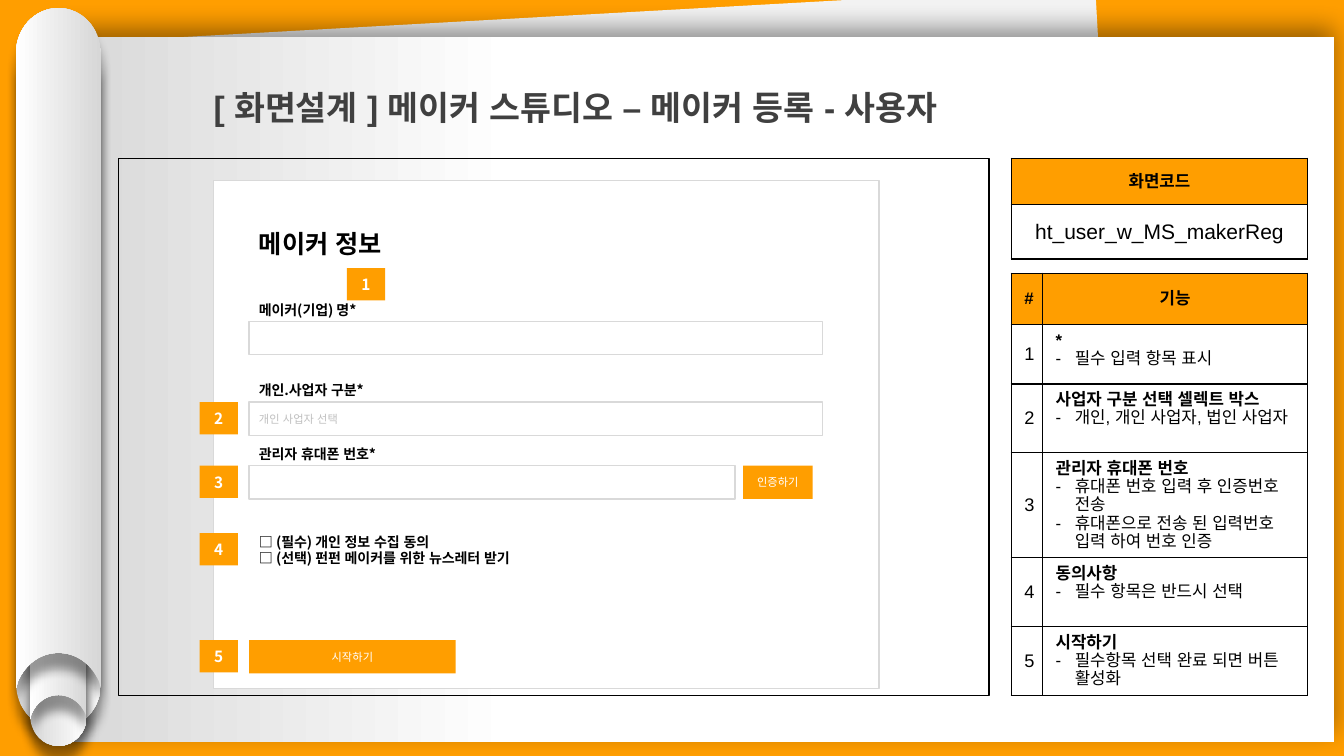
import pptx
import pptx.dml.color
import pptx.enum.shapes
import pptx.enum.text
import pptx.oxml.ns
import pptx.util
from lxml import etree

RGB = pptx.dml.color.RGBColor
ORANGE = RGB(0xFF, 0x9E, 0x00)
WHITE = RGB(0xFF, 0xFF, 0xFF)
BLACK = RGB(0, 0, 0)
TITLE_GREY = RGB(0x40, 0x40, 0x40)
SHEET_GREY = RGB(0xF2, 0xF2, 0xF2)
SHADE_GREY = RGB(0xD7, 0xD7, 0xD7)
BORDER_GREY = RGB(0xD9, 0xD9, 0xD9)
HINT_GREY = RGB(0xBF, 0xBF, 0xBF)
ARIAL = "Arial"
KOREAN = "Noto Sans CJK KR"
LEFT = pptx.enum.text.PP_ALIGN.LEFT
CENTER = pptx.enum.text.PP_ALIGN.CENTER
MIDDLE = pptx.enum.text.MSO_ANCHOR.MIDDLE
TOP = pptx.enum.text.MSO_ANCHOR.TOP
RECTANGLE = pptx.enum.shapes.MSO_SHAPE.RECTANGLE
PX = 9144  # 100 px to the inch
qn = pptx.oxml.ns.qn

deck = pptx.Presentation()
deck.slide_width, deck.slide_height = 1333 * PX, 750 * PX
slide = deck.slides.add_slide(deck.slide_layouts[6])
slide.background.fill.solid()
slide.background.fill.fore_color.rgb = ORANGE


def write(paragraph, text, size, color=BLACK, bold=False, font=KOREAN, align=LEFT):
    """Put one formatted run into the paragraph."""
    paragraph.alignment = align
    run = paragraph.add_run()
    run.text = text
    run.font.size = pptx.util.Pt(size)
    run.font.bold = bold
    run.font.name = font
    run.font.color.rgb = color
    etree.SubElement(run.font._element, qn("a:ea"), typeface=ARIAL)


def add_box(left, top, width, height, fill=None, line=None, line_width=1):
    """Add a flat rectangle, unfilled and unlined unless colours are given."""
    box = slide.shapes.add_shape(RECTANGLE, left * PX, top * PX, width * PX, height * PX)
    box.shadow.inherit = False
    if fill is None:
        box.fill.background()
    else:
        box.fill.solid()
        box.fill.fore_color.rgb = fill
    if line is None:
        box.line.fill.background()
    else:
        box.line.color.rgb = line
        box.line.width = pptx.util.Pt(line_width)
    box.text_frame.vertical_anchor = MIDDLE
    box.text_frame.word_wrap = True
    return box


# Paper and scroll
back_sheet = add_box(91, 14, 1015, 680, SHEET_GREY)
back_sheet.rotation = 356.8
page = add_box(52, 37, 1271, 699, WHITE)
# shape, (position, colour) stops, shadow blur, distance and direction
shaded = [(page, ((0.64, WHITE), (1, SHADE_GREY)), 18, 6, 270)]
# Right half of a roll in widths: x from the centre, y from the top or the bottom
CAP = [(0, 0), (0.28, 0), (0.5, 0.24), (0.5, 0.53)]
NOTCH = [(0.5, 0), (0.48, -0.08), (0.39, -0.29), (0.21, -0.42), (0, -0.42)]
CURVE_STARTS = (9, 6, 5, 0)  # index of the first of three curve points, last curve first
for left, top, width, height, rotation in (
    (16, 48, 84, 675, 180),
    (30, 288, 56, 452, 180),
    (30, 261, 56, 452, 0),
    (16, 8, 84, 675, 0),
):
    half = [(x, y * width) for x, y in CAP] + [(x, height + y * width) for x, y in NOTCH]
    mirrored = [(-x, y) for x, y in half[-2::-1]]
    outline = [(round((left + width * (0.5 + x)) * PX), round((top + y) * PX))
               for x, y in half + mirrored]
    builder = slide.shapes.build_freeform(*outline[0])
    builder.add_line_segments(outline[1:], close=True)
    roll = builder.convert_to_shape()
    segments = list(roll._element.iter(qn("a:lnTo")))
    for start in (0, 5, 8, 13):
        curve = etree.Element(qn("a:cubicBezTo"))
        segments[start].addprevious(curve)
        for segment in segments[start:start + 3]:
            curve.append(segment[0])
            segment.getparent().remove(segment)
    roll.rotation = rotation
    roll.line.fill.background()
    shaded.append((roll, ((0, SHADE_GREY), (1, WHITE)), 7, 11, 90))

for shape, stops, blur, distance, direction in shaded:
    shape.fill.gradient()
    shape.fill.gradient_angle = 180
    for stop, (position, color) in zip(shape.fill.gradient_stops, stops):
        stop.position = position
        stop.color.rgb = color
    shape.shadow.inherit = False
    effects = shape._element.spPr.find(qn("a:effectLst"))
    shadow = etree.SubElement(effects, qn("a:outerShdw"), blurRad=str(blur * 12700),
                              dist=str(distance * 12700), dir=str(direction * 60000),
                              rotWithShape="0")
    shadow_color = etree.SubElement(shadow, qn("a:srgbClr"), val="000000")
    etree.SubElement(shadow_color, qn("a:alpha"), val="40000")

# Title
title = slide.shapes.add_textbox(202 * PX, 61 * PX, 961 * PX, 71 * PX).text_frame
title.word_wrap = True
title.auto_size = pptx.enum.text.MSO_AUTO_SIZE.SHAPE_TO_FIT_TEXT
title.paragraphs[0].line_spacing = 1.5
write(title.paragraphs[0], "[ 화면설계 ] 메이커 스튜디오 – 메이커 등록 - 사용자", 24, TITLE_GREY, True, ARIAL)

# Screen mock-up
add_box(118, 157, 863, 533, line=BLACK, line_width=0.75)
add_box(212, 179, 660, 504, WHITE, BORDER_GREY)
FORM_LEFT = 247
for top, width, height, size, lines in (
    (226, 196, 31, 18, ["메이커 정보"]),
    (295, 233, 24, 10, ["메이커(기업) 명*"]),
    (375, 233, 24, 10, ["개인.사업자 구분*"]),
    (438, 233, 24, 10, ["관리자 휴대폰 번호*"]),
    (524, 303, 43, 10, ["□ (필수) 개인 정보 수집 동의", "□ (선택) 펀펀 메이커를 위한 뉴스레터 받기"]),
):
    label = add_box(FORM_LEFT, top, width, height, WHITE).text_frame
    for index, line in enumerate(lines):
        paragraph = label.add_paragraph() if index else label.paragraphs[0]
        write(paragraph, line, size, bold=True)

for top, width, hint in ((319, 569, ""), (399, 569, "개인 사업자 선택"), (462, 482, "")):
    field = add_box(FORM_LEFT, top, width, 33, WHITE, BORDER_GREY)
    if hint:
        write(field.text_frame.paragraphs[0], hint, 8, HINT_GREY)

for left, top, width, caption in ((737, 462, 69, "인증하기"), (FORM_LEFT, 635, 205, "시작하기")):
    button = add_box(left, top, width, 33, ORANGE)
    write(button.text_frame.paragraphs[0], caption, 8, WHITE, align=CENTER)

for number, (left, top) in enumerate(((344, 266), (198, 399), (198, 462), (198, 529), (198, 635)), 1):
    marker = add_box(left, top, 38, 32, ORANGE)
    write(marker.text_frame.paragraphs[0], str(number), 11, WHITE, True, align=CENTER)

# Tables
features = [
    ("*", ["필수 입력 항목 표시"]),
    ("사업자 구분 선택 셀렉트 박스", ["개인, 개인 사업자, 법인 사업자"]),
    ("관리자 휴대폰 번호", ["휴대폰 번호 입력 후 인증번호 전송", "휴대폰으로 전송 된 입력번호 입력 하여 번호 인증"]),
    ("동의사항", ["필수 항목은 반드시 선택"]),
    ("시작하기", ["필수항목 선택 완료 되면 버튼 활성화"]),
]
code_table = slide.shapes.add_table(2, 1, 1003 * PX, 157 * PX, 294 * PX, 100 * PX).table
feature_table = slide.shapes.add_table(6, 2, 1003 * PX, 271 * PX, 294 * PX, 382 * PX).table
for table, widths, heights in (
    (code_table, [294], [46, 54]),
    (feature_table, [31, 263], [51, 59, 68, 68, 68, 68]),
):
    table.first_row = table.horz_banding = False
    for column, width in zip(table.columns, widths):
        column.width = width * PX
    for row_index, (row, height) in enumerate(zip(table.rows, heights)):
        row.height = height * PX
        for cell in row.cells:
            cell.margin_left = cell.margin_right = 13 * PX
            cell.margin_top = cell.margin_bottom = 7 * PX
            cell.vertical_anchor = MIDDLE
            for side in ("a:lnL", "a:lnR", "a:lnT", "a:lnB"):
                border = etree.SubElement(cell._tc.get_or_add_tcPr(), qn(side), w="12700")
                border_fill = etree.SubElement(border, qn("a:solidFill"))
                etree.SubElement(border_fill, qn("a:srgbClr"), val="000000")
            if row_index == 0:
                cell.fill.solid()
                cell.fill.fore_color.rgb = ORANGE
            else:
                cell.fill.background()

for cell, text, size, bold in [
    (code_table.cell(0, 0), "화면코드", 12, True),
    (code_table.cell(1, 0), "ht_user_w_MS_makerReg", 15, False),
    (feature_table.cell(0, 0), "#", 12, True),
    (feature_table.cell(0, 1), "기능", 12, True),
] + [(feature_table.cell(n, 0), str(n), 13, False) for n in range(1, len(features) + 1)]:
    write(cell.text_frame.paragraphs[0], text, size, bold=bold, font=ARIAL, align=CENTER)

for number, (heading, details) in enumerate(features, 1):
    cell = feature_table.cell(number, 1)
    cell.vertical_anchor = TOP
    first = cell.text_frame.paragraphs[0]
    first.line_spacing = pptx.util.Pt(13)
    write(first, heading, 12, bold=True, font=ARIAL)
    for detail in details:
        paragraph = cell.text_frame.add_paragraph()
        paragraph.line_spacing = pptx.util.Pt(13)
        properties = paragraph._p.get_or_add_pPr()
        properties.set("marL", str(19 * PX))
        properties.set("indent", str(-19 * PX))
        etree.SubElement(properties, qn("a:buFont"), typeface=ARIAL)
        etree.SubElement(properties, qn("a:buChar"), char="-")
        write(paragraph, detail, 12, font=ARIAL)

deck.save("out.pptx")
